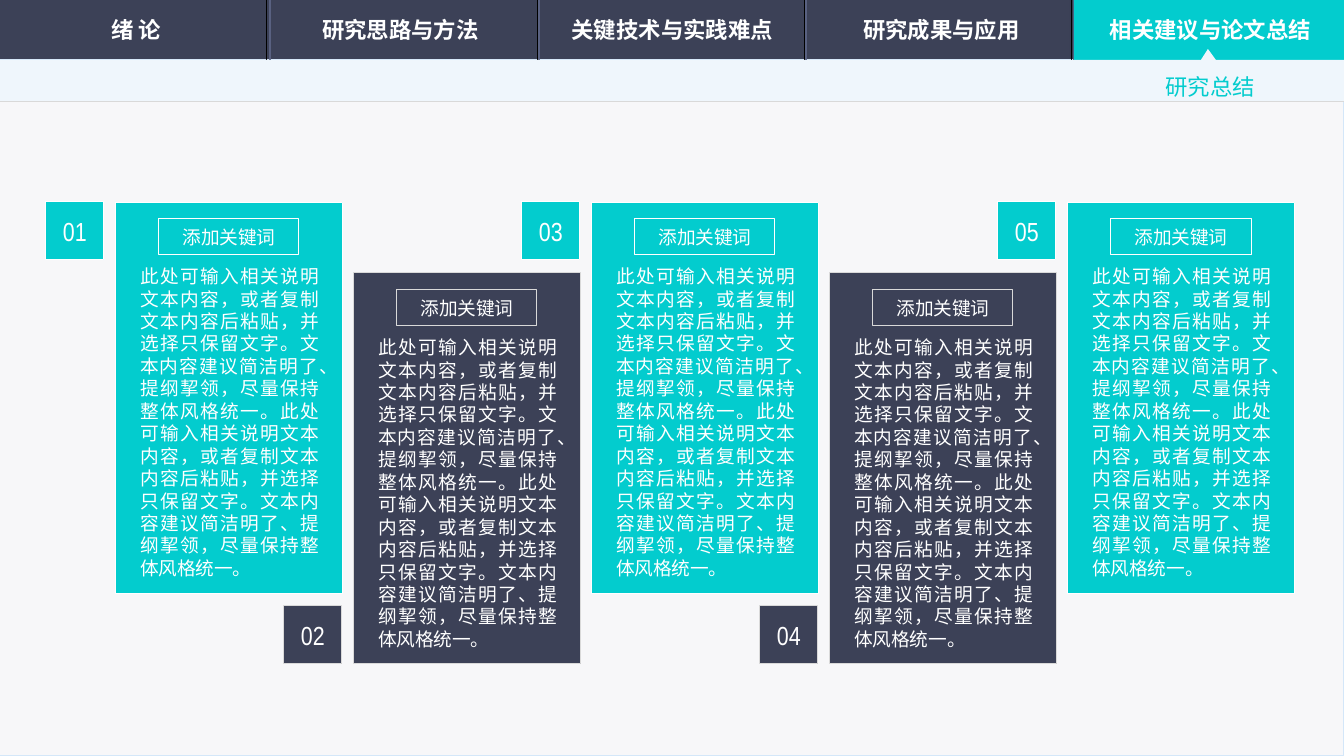
from lxml import etree
from pptx import Presentation
from pptx.dml.color import RGBColor
from pptx.enum import shapes, text
from pptx.oxml import parse_xml
from pptx.oxml.ns import qn
from pptx.util import Emu, Pt

# Content
SECTIONS = [("绪 论", 3), ("研究思路与方法", 267), ("关键技术与实践难点", 539),
            ("研究成果与应用", 808), ("相关建议与论文总结", 1077)]
PAGE_TITLE = "研究总结"
KEYWORD = "添加关键词"
ADVICE = ("此处可输入相关说明文本内容，或者复制文本内容后粘贴，并选择只保留文字。"
          "文本内容建议简洁明了、提纲挈领，尽量保持整体风格统一。") * 2
CARD_COUNT = 5

# Theme and geometry in pixels
THEME = dict(teal="03CCCE", navy="3C4157", white="FFFFFF", paper="F7F7F9", strip="EFF6FC",
             frame="D4E7F9", rule="D9D9D9", groove="000000", ridge="596181", dusk="3B445B",
             head="Noto Sans CJK SC", label="Arial Narrow", body="Arial",
             section=12, number=14, text=10)
WIDTH, HEIGHT, NAV_H, STRIP_END = 1344, 756, 60, 102
DIVIDERS = [(267, 270), (538, 539), (805, 806), (1072, 1074)]
CARD_X, CARD_PITCH, CARD_W, CARD_H = 116, 238, 227, 391
HIGH_Y, LOW_Y, BADGE = 202, 273, 58
ROUND, RECT = shapes.MSO_SHAPE.ROUNDED_RECTANGLE, shapes.MSO_SHAPE.RECTANGLE
CENTER, JUSTIFY = text.PP_ALIGN.CENTER, text.PP_ALIGN.JUSTIFY


def px(n):
    return Emu(round(n * 914400 / 134.4))


def color(name):
    return RGBColor.from_string(THEME[name])


def paint(shape, fill, line=None, width=0.5):
    shape.shadow.inherit = False
    if fill:
        shape.fill.solid()
        shape.fill.fore_color.rgb = color(fill)
    else:
        shape.fill.background()
    if line:
        shape.line.color.rgb = color(line)
        shape.line.width = Pt(width)
    else:
        shape.line.fill.background()
    return shape


def box(kind, x, y, w, h, fill=None, line=None):
    shape = slide.shapes.add_shape(kind, px(x), px(y), px(w), px(h))
    if kind == ROUND:
        shape.adjustments[0] = 0
    return paint(shape, fill, line)


def write(shape, words, font, size, ink="white", align=CENTER, bold=False):
    frame = shape.text_frame
    frame.vertical_anchor = text.MSO_ANCHOR.MIDDLE
    paragraph = frame.paragraphs[0]
    paragraph.alignment = align
    run = paragraph.add_run()
    run.text = words
    run.font.name, run.font.size, run.font.bold = THEME[font], Pt(THEME[size]), bold
    run.font.color.rgb = color(ink)
    etree.SubElement(run._r.get_or_add_rPr(), qn("a:ea"), typeface=THEME[font])
    return frame


def rule(x1, y1, x2, y2, ink, width):
    line = slide.shapes.add_connector(shapes.MSO_CONNECTOR.STRAIGHT, px(x1), px(y1), px(x2), px(y2))
    line.line.color.rgb = color(ink)
    line.line.width = Pt(width)
    etree.SubElement(line._element.spPr, qn("a:effectLst"))


deck = Presentation()
deck.slide_width, deck.slide_height = px(WIDTH), px(HEIGHT)
slide = deck.slides.add_slide(deck.slide_layouts[5])

# Background
backdrop = slide.background.fill
backdrop.gradient()
backdrop.gradient_angle = 315
for stop, name in zip(backdrop.gradient_stops, ("teal", "dusk")):
    stop.color.rgb = color(name)

# Navigation bar, page and dividers
box(RECT, 0, 0, WIDTH, NAV_H, "navy")
box(RECT, 0, NAV_H, WIDTH, HEIGHT - NAV_H, "paper", "frame")
for groove_x, ridge_x in DIVIDERS:
    rule(groove_x, 0, groove_x, NAV_H, "groove", 0.5)
    rule(ridge_x, 0, ridge_x, NAV_H, "ridge", 0.75)

# Active section with an upward shadow
active = box(RECT, 1074, 0, WIDTH - 1074, NAV_H, "teal")
active._element.spPr.find(qn("a:effectLst")).append(parse_xml(
    '<a:outerShdw xmlns:a="http://schemas.openxmlformats.org/drawingml/2006/main" '
    'blurRad="38100" dist="0" dir="16200000"><a:srgbClr val="000000">'
    '<a:alpha val="20000"/></a:srgbClr></a:outerShdw>'))

# Title strip with its pointer
outline = slide.shapes.build_freeform(px(1208), px(49), scale=1.0)
outline.add_line_segments([(px(x), px(y)) for x, y in (
    (1216, NAV_H), (WIDTH, NAV_H), (WIDTH, STRIP_END), (0, STRIP_END), (0, NAV_H), (1201, NAV_H))])
paint(outline.convert_to_shape(), "strip")
rule(0, STRIP_END, WIDTH, STRIP_END, "rule", 0.5)

# Cards alternate between a high and a low row
for i in range(CARD_COUNT):
    low = i % 2
    fill, line = ("navy", "rule") if low else ("teal", "white")
    x, y = CARD_X + i * CARD_PITCH, LOW_Y if low else HIGH_Y
    box(ROUND, x, y, CARD_W, CARD_H, fill, line)
    advice = slide.shapes.add_textbox(px(x + 24), px(y + 63), px(179), px(317))
    frame = write(advice, ADVICE, "body", "text", align=JUSTIFY)
    frame.vertical_anchor = text.MSO_ANCHOR.TOP
    frame.word_wrap = True
    frame.margin_left = frame.margin_right = frame.margin_top = frame.margin_bottom = 0
    frame.auto_size = text.MSO_AUTO_SIZE.SHAPE_TO_FIT_TEXT
    write(box(ROUND, x + 43, y + 17, 140, 36, fill, line), KEYWORD, "label", "text")
    badge_y = LOW_Y + CARD_H - BADGE if low else HIGH_Y
    write(box(ROUND, x - 70, badge_y, BADGE, BADGE, fill, line), f"{i + 1:02}", "label", "number")

# Section names
for section, x in SECTIONS:
    write(box(ROUND, x, 9, 267, 42), section, "head", "section", bold=True)

# Page title, in front of the strip
title = slide.shapes.title
title.left, title.top, title.width, title.height = px(1152), px(55), px(118), px(50)
frame = write(title, PAGE_TITLE, "head", "section", "teal", text.PP_ALIGN.LEFT)
frame.word_wrap = False
frame.auto_size = text.MSO_AUTO_SIZE.SHAPE_TO_FIT_TEXT
frame.paragraphs[0].line_spacing = 1.5
slide.shapes._spTree.append(title._element)

deck.save("out.pptx")
